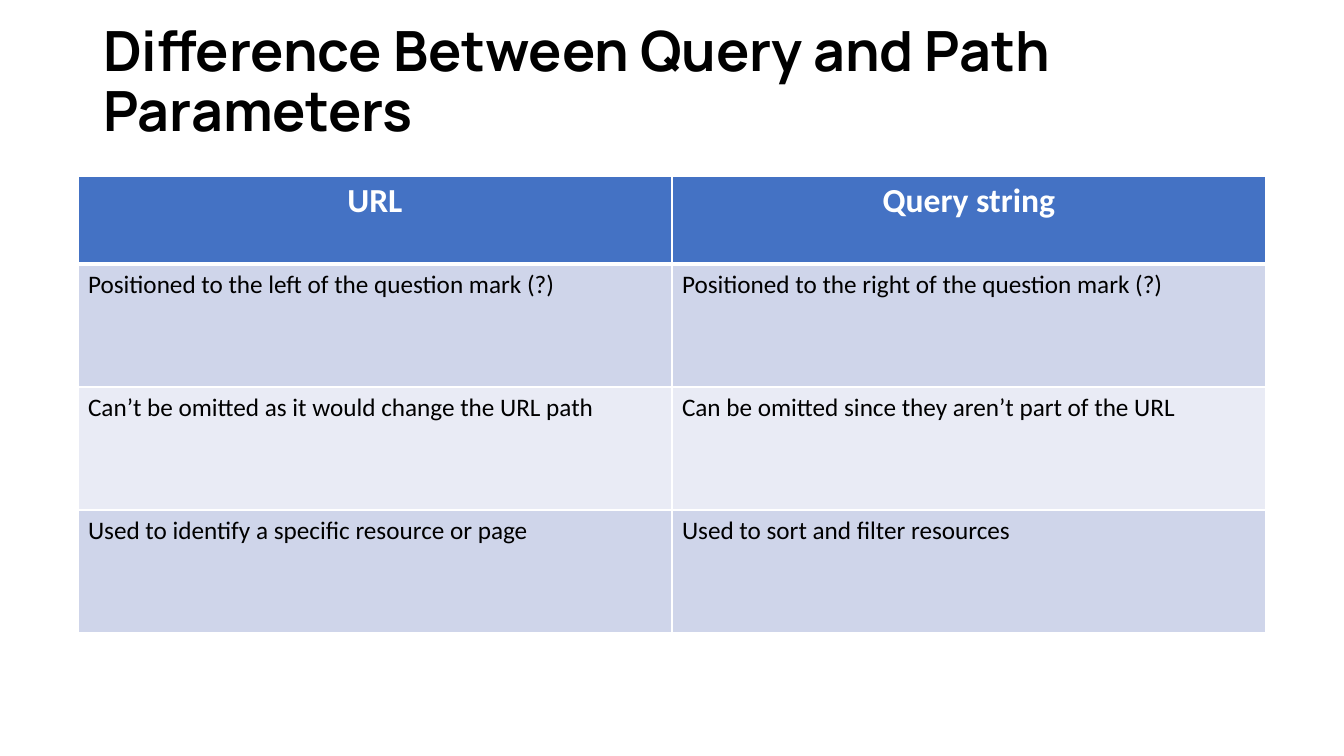
from lxml.etree import SubElement
from pptx import Presentation
from pptx.dml.color import RGBColor
from pptx.enum.text import MSO_ANCHOR, MSO_AUTO_SIZE, PP_ALIGN
from pptx.oxml.ns import qn
from pptx.util import Emu, Pt

TITLE = "Difference Between Query and Path Parameters"
COMPARISON = [
    ("URL", "Query string"),
    ("Positioned to the left of the question mark (?)",
     "Positioned to the right of the question mark (?)"),
    ("Can’t be omitted as it would change the URL path",
     "Can be omitted since they aren’t part of the URL"),
    ("Used to identify a specific resource or page",
     "Used to sort and filter resources"),
]
COLORS = {"text": "000000", "header": "4472C4", "header_text": "FFFFFF",
          "odd_row": "CFD5EA", "even_row": "E9EBF5", "border": "FFFFFF"}

SLIDE_WIDTH, SLIDE_HEIGHT = 1344, 756
TITLE_BOX = (93, 40, 1159, 146)
TITLE_BOTTOM_INSET = 64
TABLE_LEFT, TABLE_TOP = 78, 176
COLUMN_WIDTH, HEADER_HEIGHT, ROW_HEIGHT = 594, 88, 123


def px(length):
    return Emu(round(length * 914400 / 100.8))


def style(paragraph, face, size, color, bold):
    font = paragraph.font
    font.name, font.size, font.bold = face, Pt(size), bold
    font.color.rgb = RGBColor.from_string(COLORS[color])


def add_borders(cell, top, bottom):
    properties = cell._tc.get_or_add_tcPr()
    for side, points in (("L", 1), ("R", 1), ("T", top), ("B", bottom)):
        line = SubElement(properties, qn(f"a:ln{side}"), w=str(Pt(points)))
        fill = SubElement(line, qn("a:solidFill"))
        SubElement(fill, qn("a:srgbClr"), val=COLORS["border"])


def add_title(slide):
    title = slide.shapes.title
    title.left, title.top, title.width, title.height = map(px, TITLE_BOX)
    frame = title.text_frame
    frame.text = TITLE
    frame.word_wrap = True
    frame.auto_size = MSO_AUTO_SIZE.NONE
    frame.vertical_anchor = MSO_ANCHOR.MIDDLE
    frame.margin_bottom = px(TITLE_BOTTOM_INSET)
    heading = frame.paragraphs[0]
    heading.alignment = PP_ALIGN.LEFT
    heading.line_spacing = 0.9
    style(heading, "Manrope", 39.6, "text", True)


def add_comparison(slide):
    heights = [HEADER_HEIGHT] + [ROW_HEIGHT] * (len(COMPARISON) - 1)
    columns = len(COMPARISON[0])
    table = slide.shapes.add_table(
        len(COMPARISON), columns, px(TABLE_LEFT), px(TABLE_TOP),
        px(COLUMN_WIDTH * columns), px(sum(heights))).table
    for column in table.columns:
        column.width = px(COLUMN_WIDTH)
    for row, (height, texts) in enumerate(zip(heights, COMPARISON)):
        table.rows[row].height = px(height)
        is_header = row == 0
        fill = "header" if is_header else "odd_row" if row % 2 else "even_row"
        for column, text in enumerate(texts):
            cell = table.cell(row, column)
            add_borders(cell, 3 if row == 1 else 1, 3 if is_header else 1)
            cell.fill.solid()
            cell.fill.fore_color.rgb = RGBColor.from_string(COLORS[fill])
            cell.text = text
            entry = cell.text_frame.paragraphs[0]
            if is_header:
                entry.alignment = PP_ALIGN.CENTER
                style(entry, "Calibri", 24, "header_text", True)
            else:
                style(entry, "Calibri", 18, "text", False)


def main():
    presentation = Presentation()
    presentation.slide_width = px(SLIDE_WIDTH)
    presentation.slide_height = px(SLIDE_HEIGHT)
    slide = presentation.slides.add_slide(presentation.slide_layouts[5])
    add_title(slide)
    add_comparison(slide)
    presentation.save("out.pptx")


if __name__ == "__main__":
    main()
